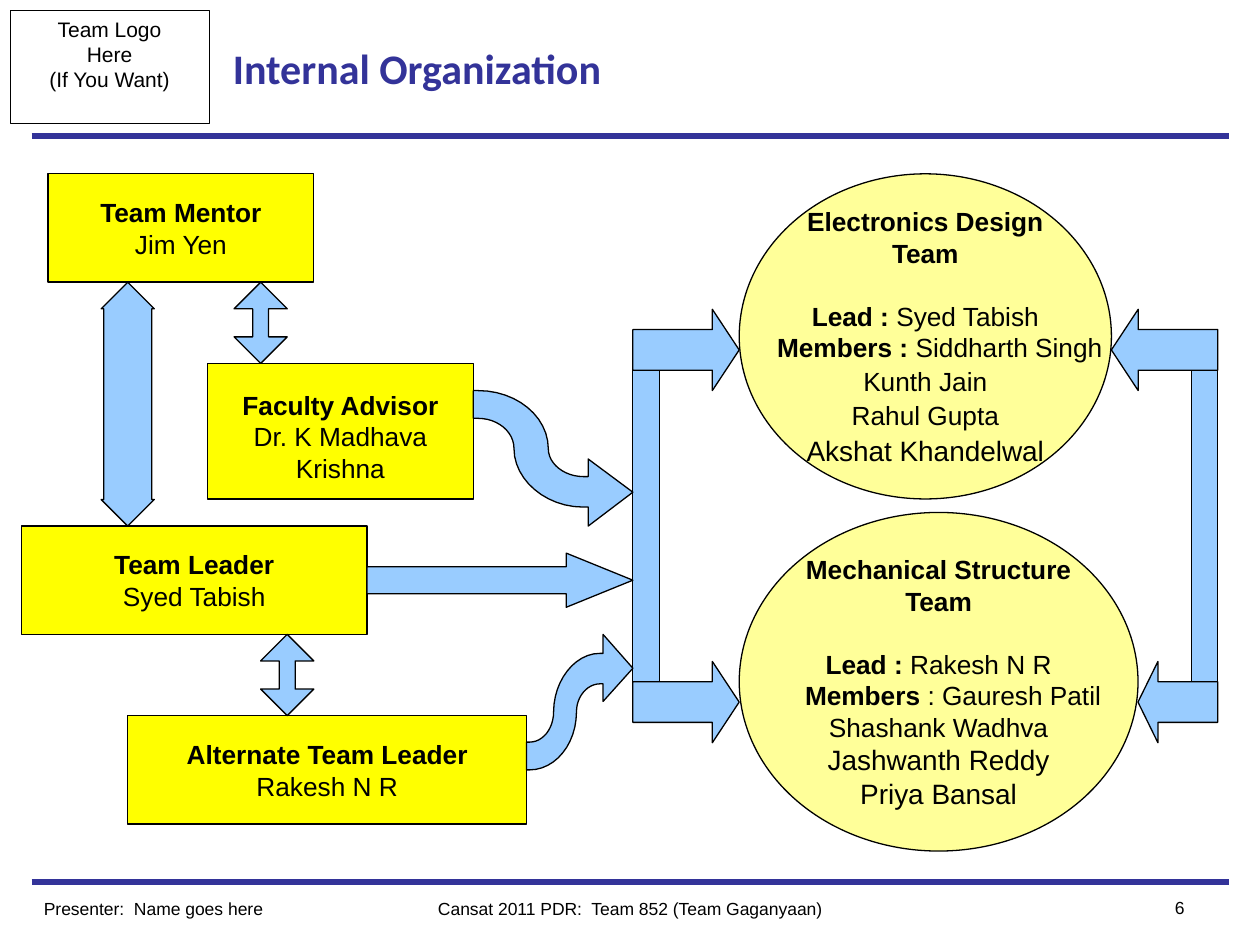
import pptx
import pptx.util
import pptx.dml.color
import pptx.enum.shapes
import pptx.enum.text
import pptx.oxml.ns
import lxml.etree

Inches = pptx.util.Inches
Pt = pptx.util.Pt
RGBColor = pptx.dml.color.RGBColor
SHAPE = pptx.enum.shapes.MSO_SHAPE
ALIGN = pptx.enum.text.PP_ALIGN
ANCHOR = pptx.enum.text.MSO_ANCHOR

BLACK = RGBColor(0x00, 0x00, 0x00)
NAVY = RGBColor(0x33, 0x33, 0x99)
YELLOW = RGBColor(0xFF, 0xFF, 0x00)
CREAM = RGBColor(0xFF, 0xFF, 0x99)
SKY = RGBColor(0x99, 0xCC, 0xFF)

LEFT, TOP = 0.17, 1.38
COLUMN, ROW = 0.211, 0.215

BEND_OUTER = [
    [(0.03, 0), (0.27, 0), (0.47, 0.19), (0.47, 0.43)],
    [(0.47, 0.43), (0.47, 0.54), (0.57, 0.635), (0.69, 0.635)],
]
BEND_HEAD = [(0.72, 0.635), (0.72, 0.505), (1, 0.75), (0.72, 1), (0.72, 0.86)]
BEND_INNER = [
    [(0.69, 0.86), (0.45, 0.86), (0.255, 0.655), (0.255, 0.43)],
    [(0.255, 0.43), (0.255, 0.3), (0.15, 0.205), (0.03, 0.205)],
]

ROLES = [
    ((1, 0, 10, 4), ["Team Mentor", "Jim Yen"], 0),
    ((7, 7, 10, 5), ["Faculty Advisor", "Dr. K Madhava", "Krishna"], 0.08),
    ((0, 13, 13, 4), ["Team Leader", "Syed Tabish"], 0),
    ((4, 20, 15, 4), ["Alternate Team Leader", "Rakesh N R"], 0),
]
TEAMS = [
    ((27, 0, 14, 12), ["Electronics Design", "Team"],
     ("Lead : ", "Syed Tabish"), ("Members : ", "Siddharth Singh"),
     [("Kunth Jain", 15), ("Rahul Gupta", 15), ("Akshat Khandelwal", 16)], 1.08),
    ((27, 12.5, 15, 12.5), ["Mechanical Structure", "Team"],
     ("Lead : ", "Rakesh N R"), ("Members", " : Gauresh Patil"),
     [("Shashank Wadhva", 15), ("Jashwanth Reddy", 16), ("Priya Bansal", 16)], 1),
]
BARS = [(23, 6, 1, 14), (44, 7, 1, 13)]
ARROWS = [
    (SHAPE.UP_DOWN_ARROW, (8, 4, 2, 3), 0.3),
    (SHAPE.UP_DOWN_ARROW, (3, 4, 2, 9), 0.9),
    (SHAPE.UP_DOWN_ARROW, (9, 17, 2, 3), 0.3),
    (SHAPE.RIGHT_ARROW, (23, 18, 4, 3), 0.33),
    (SHAPE.RIGHT_ARROW, (23, 5, 4, 3), 0.33),
    (SHAPE.RIGHT_ARROW, (13, 14, 10, 2), 1.23),
    (SHAPE.LEFT_ARROW, (41, 5, 4, 3), 0.33),
    (SHAPE.LEFT_ARROW, (42, 18, 3, 3), 0.25),
]


def on_grid(column, row, columns, rows):
    """Turn a grid cell range into left, top, width and height."""
    return (Inches(LEFT + column * COLUMN), Inches(TOP + row * ROW),
            Inches(columns * COLUMN), Inches(rows * ROW))


def paint(shape, fill, width=0.75):
    """Give a shape its fill and a thin black outline."""
    shape.shadow.inherit = False
    if fill is None:
        shape.fill.background()
    else:
        shape.fill.solid()
        shape.fill.fore_color.rgb = fill
    shape.line.color.rgb = BLACK
    shape.line.width = Pt(width)


def add_block(page, kind, cells, fill):
    """Add a painted preset shape on the grid."""
    shape = page.shapes.add_shape(kind, *on_grid(*cells))
    paint(shape, fill)
    return shape


def add_arrow(page, kind, cells, head):
    """Add a block arrow whose shaft is half its breadth."""
    arrow = add_block(page, kind, cells, SKY)
    arrow.adjustments[0] = 0.5
    arrow.adjustments[1] = head


def curve_points(curve, steps=12):
    """List points along a cubic curve."""
    weights = [((1 - t) ** 3, 3 * t * (1 - t) ** 2, 3 * t * t * (1 - t), t ** 3)
               for t in (step / steps for step in range(steps + 1))]
    return [tuple(sum(w * point[axis] for w, point in zip(row, curve)) for axis in (0, 1))
            for row in weights]


def add_bent_arrow(page, cells, upward=False):
    """Add an S-shaped arrow that runs right and either down or up."""
    left, top, width, height = on_grid(*cells)
    outline = [(0, 0)]
    for curve in BEND_OUTER:
        outline += curve_points(curve)
    outline += BEND_HEAD
    for curve in BEND_INNER:
        outline += curve_points(curve)
    outline.append((0, 0.205))
    points = [(round(left + x * width), round(top + (1 - y if upward else y) * height))
              for x, y in outline]
    builder = page.shapes.build_freeform(*points[0], scale=1.0)
    builder.add_line_segments(points[1:], close=True)
    paint(builder.convert_to_shape(), SKY)


def style(para, size, color=BLACK, name="Arial", bold=False, align=ALIGN.CENTER):
    """Format every run of a paragraph."""
    para.alignment = align
    for span in para.runs:
        span.font.size = Pt(size)
        span.font.name = name
        span.font.bold = bold
        span.font.color.rgb = color


def add_line_of_text(frame, first, texts, size=15, bold=False):
    """Add a paragraph made of one or more runs and return it."""
    para = frame.paragraphs[0] if first else frame.add_paragraph()
    for text in texts:
        para.add_run().text = text
    style(para, size, bold=bold)
    return para


def add_role(page, cells, lines, drop):
    """Add a yellow box with a bold role above a name."""
    frame = add_block(page, SHAPE.RECTANGLE, cells, YELLOW).text_frame
    frame.word_wrap = False
    frame.margin_top = Inches(0.05 + drop)
    for index, line in enumerate(lines):
        add_line_of_text(frame, index == 0, [line], bold=index == 0)


def add_team(page, cells, heading, lead, members, others, spacing):
    """Add an ellipse with a team heading, its lead and its members."""
    frame = add_block(page, SHAPE.OVAL, cells, CREAM).text_frame
    frame.word_wrap = False
    frame.margin_top = frame.margin_bottom = 0
    for index, line in enumerate(heading):
        add_line_of_text(frame, index == 0, [line], bold=True)
    for texts in (lead, members):
        para = add_line_of_text(frame, False, texts)
        para.runs[0].font.bold = True
        if texts is lead:
            para.space_before = Pt(18)
        else:
            para._p.get_or_add_pPr().set("marL", str(Inches(0.23)))
    for name, size in others:
        add_line_of_text(frame, False, [name], size).line_spacing = spacing


def add_label(page, place, text, size, align, **looks):
    """Add a one-paragraph text box and return its frame."""
    frame = page.shapes.add_textbox(*map(Inches, place)).text_frame
    frame.word_wrap = True
    frame.text = text
    style(frame.paragraphs[0], size, align=align, **looks)
    return frame


def add_rule(page, height):
    """Draw a thick navy line across the page."""
    rule = page.shapes.add_connector(pptx.enum.shapes.MSO_CONNECTOR.STRAIGHT, Inches(0.25),
                                     Inches(height), Inches(9.75), Inches(height))
    rule.line.color.rgb = NAVY
    rule.line.width = Pt(3)
    lxml.etree.SubElement(rule._element.spPr, pptx.oxml.ns.qn("a:effectLst"))


def add_frame(page):
    """Add the rules, logo box, title and footer."""
    for height in (7, 1.08):
        add_rule(page, height)
    box = page.shapes.add_shape(SHAPE.RECTANGLE, *map(Inches, (0.08, 0.08, 1.58, 0.9)))
    paint(box, None, 0.5)
    box.text_frame.word_wrap = False
    box.text_frame.vertical_anchor = ANCHOR.TOP
    for index, line in enumerate(["Team Logo", "Here", "(If You Want)"]):
        add_line_of_text(box.text_frame, index == 0, [line], 12)
    add_label(page, (3, 7.08, 4, 0.27), "Cansat 2011 PDR:  Team 852 (Team Gaganyaan)", 10, ALIGN.CENTER)
    add_label(page, (8.75, 7.07, 0.75, 0.27), "6", 10, ALIGN.RIGHT)
    add_label(page, (0.25, 7.08, 2.5, 0.27), "Presenter:  Name goes here", 10, ALIGN.LEFT)
    title = add_label(page, (1.75, 0.08, 6.5, 0.92), "Internal Organization", 24, ALIGN.LEFT,
                      color=NAVY, name="Calibri", bold=True)
    title.vertical_anchor = ANCHOR.MIDDLE


def main():
    """Build the organization slide and save it."""
    deck = pptx.Presentation()
    deck.slide_width, deck.slide_height = Inches(10), Inches(7.5)
    page = deck.slides.add_slide(deck.slide_layouts[6])
    add_frame(page)
    for role in ROLES:
        add_role(page, *role)
    for team in TEAMS:
        add_team(page, *team)
    for cells in BARS:
        add_block(page, SHAPE.RECTANGLE, cells, SKY)
    for arrow in ARROWS:
        add_arrow(page, *arrow)
    add_bent_arrow(page, (17, 8, 6, 5))
    add_bent_arrow(page, (19, 17, 4, 5), upward=True)
    deck.save("out.pptx")


if __name__ == "__main__":
    main()
